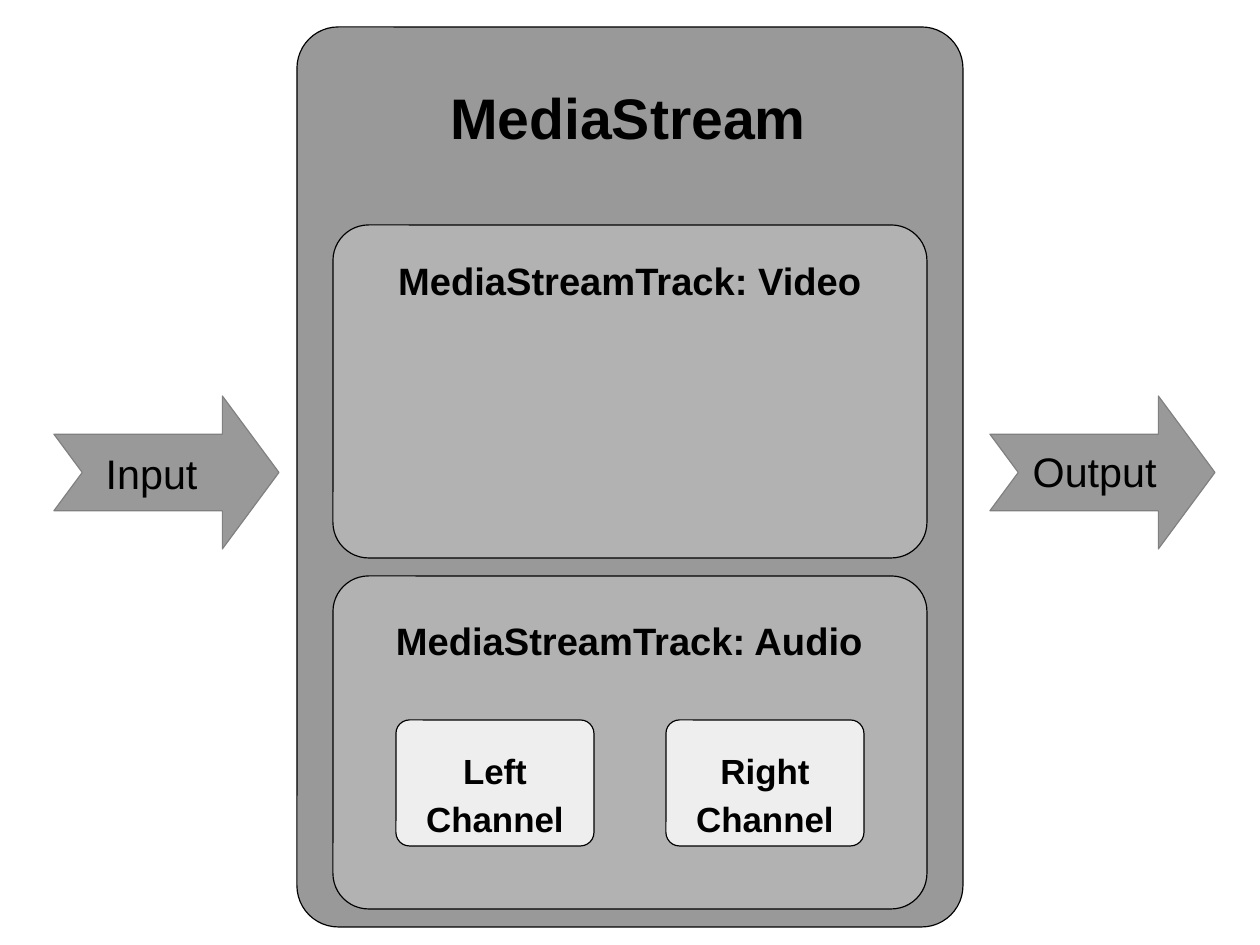
from dataclasses import dataclass

from pptx import Presentation
from pptx.dml.color import RGBColor
from pptx.enum.shapes import MSO_SHAPE as Preset
from pptx.enum.text import MSO_ANCHOR as Anchor, MSO_AUTO_SIZE as AutoSize, PP_ALIGN as Align
from pptx.util import Emu, Pt

EMU_PER_PX = 9000  # 40 px to the centimetre

STREAM_GRAY, TRACK_GRAY, CHANNEL_GRAY = "999999", "B2B2B2", "EEEEEE"
BLACK, ARROW_EDGE = "000000", "808080"


@dataclass(frozen=True)
class Box:
    left: int
    top: int
    width: int
    height: int

    def emu(self) -> list[Emu]:
        return [px(n) for n in (self.left, self.top, self.width, self.height)]


@dataclass(frozen=True)
class Block:
    box: Box
    fill: str
    preset: Preset = Preset.ROUNDED_RECTANGLE
    adjustments: tuple[float, ...] = (0.107,)
    edge: str = BLACK


@dataclass(frozen=True)
class Label:
    text: str
    box: Box
    size: int
    bold: bool = True
    align: Align = Align.LEFT
    spacing: float = 1.0


def px(count: int) -> Emu:
    return Emu(count * EMU_PER_PX)


def color(value: str) -> RGBColor:
    return RGBColor.from_string(value)


def arrow(left: int) -> Block:
    return Block(Box(left, 352, 200, 136), STREAM_GRAY,
                 Preset.NOTCHED_RIGHT_ARROW, (0.5, 0.37), ARROW_EDGE)


def draw_block(slide, block: Block) -> None:
    shape = slide.shapes.add_shape(block.preset, *block.box.emu())
    for index, value in enumerate(block.adjustments):
        shape.adjustments[index] = value
    shape.shadow.inherit = False
    shape.fill.solid()
    shape.fill.fore_color.rgb = color(block.fill)
    shape.line.color.rgb = color(block.edge)
    shape.line.width = Pt(0)


def write_text(shape, text: str, *, size: int, bold: bool = True,
               align: Align = Align.LEFT, spacing: float = 1.0) -> None:
    frame = shape.text_frame
    frame.word_wrap = True
    frame.auto_size = AutoSize.NONE
    frame.vertical_anchor = Anchor.TOP
    paragraph = frame.paragraphs[0]
    paragraph.alignment = align
    paragraph.line_spacing = spacing
    run = paragraph.add_run()
    run.text = text
    run.font.name = "Arial"
    run.font.size = Pt(size)
    run.font.bold = bold
    run.font.color.rgb = color(BLACK)


def draw_label(slide, label: Label) -> None:
    write_text(slide.shapes.add_textbox(*label.box.emu()), label.text, size=label.size,
               bold=label.bold, align=label.align, spacing=label.spacing)


def place_title(slide, text: str, box: Box) -> None:
    """Fill the title placeholder and bring it in front of the stream block."""
    title = slide.shapes.title
    title.left, title.top, title.width, title.height = box.emu()
    write_text(title, text, size=36)
    slide.shapes.element.append(title.element)


CHANNELS = {"Left Channel": 352, "Right Channel": 592}

BLOCKS = [
    Block(Box(264, 24, 592, 800), STREAM_GRAY, adjustments=(0.062,)),
    *(Block(Box(296, top, 528, 296), TRACK_GRAY) for top in (200, 512)),
    *(Block(Box(left, 640, 176, 112), CHANNEL_GRAY) for left in CHANNELS.values()),
    *(arrow(left) for left in (48, 880)),
]

LABELS = [
    Label("MediaStreamTrack: Video", Box(344, 224, 436, 48), 24),
    Label("MediaStreamTrack: Audio", Box(342, 544, 440, 56), 24),
    *(Label(name, Box(left + 12, 656, 152, 89), 22, align=Align.CENTER, spacing=1.15)
      for name, left in CHANNELS.items()),
    Label("Input", Box(84, 393, 120, 51), 26, bold=False),
    Label("Output", Box(908, 392, 144, 56), 26, bold=False),
]


def main() -> None:
    deck = Presentation()
    deck.slide_width, deck.slide_height = px(1120), px(840)
    slide = deck.slides.add_slide(deck.slide_layouts[5])
    for block in BLOCKS:
        draw_block(slide, block)
    place_title(slide, "MediaStream", Box(390, 68, 340, 67))
    for label in LABELS:
        draw_label(slide, label)
    deck.save("out.pptx")


if __name__ == "__main__":
    main()
